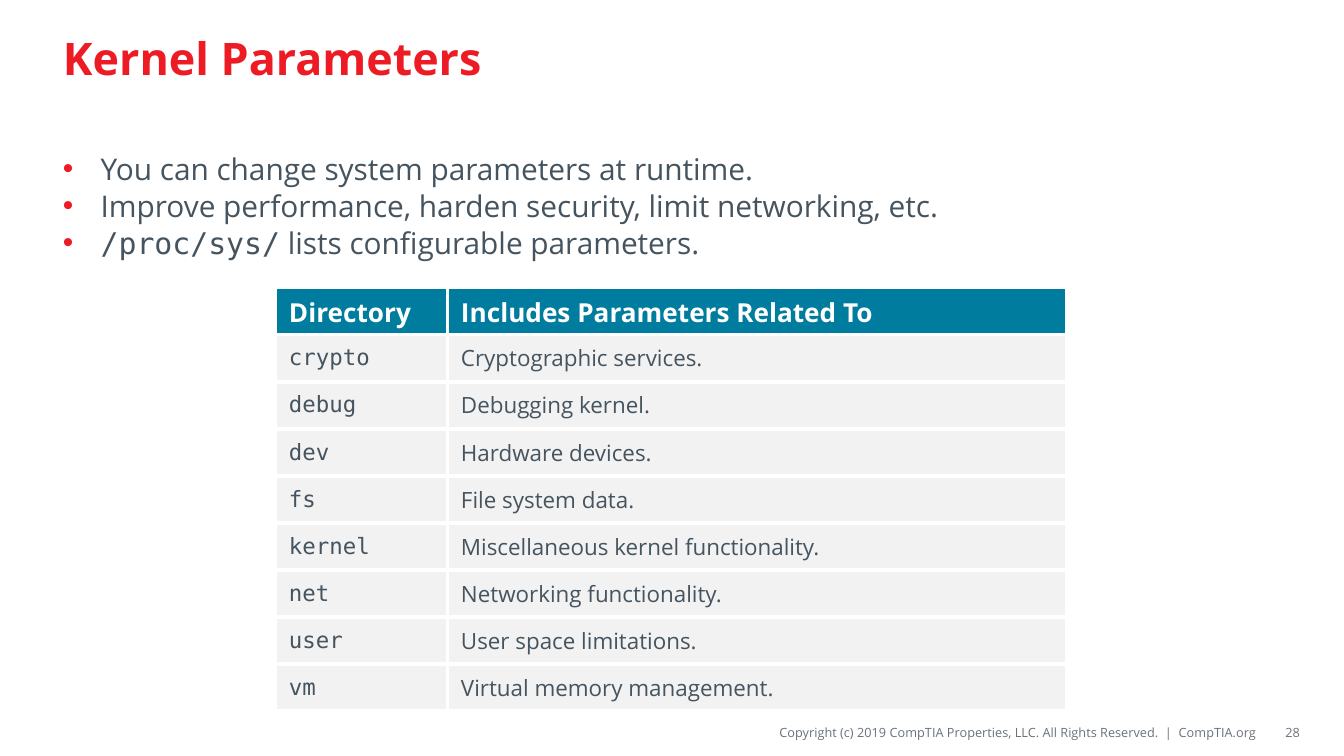
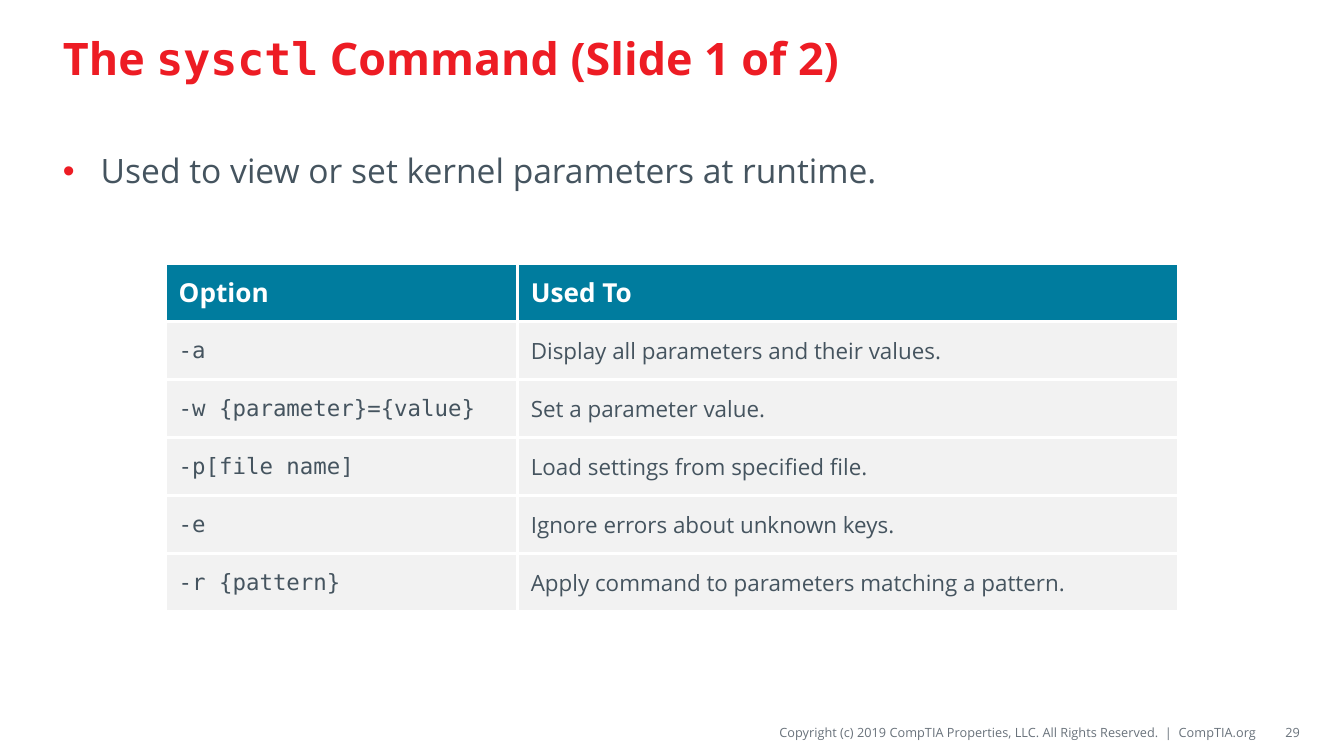
import dataclasses

import lxml.etree
import pptx
import pptx.dml.color
import pptx.enum.text
import pptx.oxml.ns
import pptx.util

Pt = pptx.util.Pt
ANCHOR = pptx.enum.text.MSO_ANCHOR
ALIGN = pptx.enum.text.PP_ALIGN


@dataclasses.dataclass(frozen=True)
class Theme:
    red: str = "ED1C24"
    ink: str = "45545F"
    grey: str = "69727B"
    teal: str = "007C9E"
    pale: str = "F2F2F2"
    white: str = "FFFFFF"
    sans: str = "Open Sans"
    mono: str = "DejaVu Sans Mono"
    title_size: float = 24
    header_size: float = 14
    cell_size: float = 12
    footer_size: float = 6.8
    bullet_indent: float = 20.25
    bullet_gap: float = 0.7
    border: float = 2.25


THEME = Theme()
COPYRIGHT = "Copyright (c) 2019 CompTIA Properties, LLC. All Rights Reserved.  |  CompTIA.org"
TITLE_BOX = (26.64, 5.76, 666, 49.68)
BODY_BOX = (26.64, 77.04, 666, 280.8)
FOOTER_BOX = (279.36, 384.48, 417, 15.84)
NUMBER_WIDTH = 21


def rgb(color):
    return pptx.dml.color.RGBColor.from_string(color)


def add_element(parent, tag, **attributes):
    element = lxml.etree.SubElement(parent, pptx.oxml.ns.qn(tag))
    for name, value in attributes.items():
        element.set(name, str(value))
    return element


def write_para(para, content, size, color, bold=False, font=THEME.sans):
    """Content is a string, or a list of (text, font name) pairs."""
    para.font.size = Pt(size)
    para.font.bold = bold
    para.font.color.rgb = rgb(color)
    if isinstance(content, str):
        para.font.name = font
        para.add_run().text = content
        return
    for text, name in content:
        span = para.add_run()
        span.text = text
        span.font.name = name


def add_text_frame(page, box, anchor, margins=(7.2, 3.6, 7.2, 3.6)):
    frame = page.shapes.add_textbox(*map(Pt, box)).text_frame
    frame.word_wrap = True
    frame.vertical_anchor = anchor
    frame.margin_left, frame.margin_top, frame.margin_right, frame.margin_bottom = map(Pt, margins)
    return frame


def add_title(page, box, content):
    frame = add_text_frame(page, box, ANCHOR.MIDDLE)
    write_para(frame.paragraphs[0], content, THEME.title_size, THEME.red, bold=True)


def add_footer(page, box, number):
    left, top, width, height = box
    copyright_width = width - NUMBER_WIDTH - 2.16
    parts = (
        (COPYRIGHT, left, copyright_width, (0, 2.88, 0, 2.88)),
        (str(number), left + width - NUMBER_WIDTH, NUMBER_WIDTH, (7.2, 3.6, 0, 3.6)),
    )
    for text, part_left, part_width, margins in parts:
        part_box = (part_left, top, part_width, height)
        para = add_text_frame(page, part_box, ANCHOR.MIDDLE, margins).paragraphs[0]
        para.alignment = ALIGN.RIGHT
        write_para(para, text, THEME.footer_size, THEME.grey)


def add_bullets(page, box, items, size):
    frame = add_text_frame(page, box, ANCHOR.TOP)
    for index, content in enumerate(items):
        para = frame.add_paragraph() if index else frame.paragraphs[0]
        if index:
            para.space_before = Pt(THEME.bullet_gap)
        properties = para._p.get_or_add_pPr()
        properties.set("marL", str(Pt(THEME.bullet_indent)))
        properties.set("indent", str(-Pt(THEME.bullet_indent)))
        add_element(add_element(properties, "a:buClr"), "a:srgbClr", val=THEME.red)
        add_element(properties, "a:buFont", typeface="Arial")
        add_element(properties, "a:buChar", char="•")
        write_para(para, content, size, THEME.ink)


def style_cell(cell, fill):
    cell.vertical_anchor = ANCHOR.MIDDLE
    properties = cell._tc.get_or_add_tcPr()
    for side in ("a:lnL", "a:lnR", "a:lnT", "a:lnB"):
        line = add_element(properties, side, w=Pt(THEME.border))
        add_element(add_element(line, "a:solidFill"), "a:srgbClr", val=THEME.white)
    cell.fill.solid()
    cell.fill.fore_color.rgb = rgb(fill)


def add_option_table(page, left, top, widths, row_height, rows):
    box = (left, top, sum(widths), row_height * len(rows))
    table = page.shapes.add_table(len(rows), len(widths), *map(Pt, box)).table
    table.first_row = table.horz_banding = False
    for column, width in zip(table.columns, widths):
        column.width = Pt(width)
    for row_index, texts in enumerate(rows):
        table.rows[row_index].height = Pt(row_height)
        for column_index, text in enumerate(texts):
            cell = table.cell(row_index, column_index)
            para = cell.text_frame.paragraphs[0]
            if row_index == 0:
                style_cell(cell, THEME.teal)
                write_para(para, text, THEME.header_size, THEME.white, bold=True)
            else:
                style_cell(cell, THEME.pale)
                font = THEME.sans if column_index else THEME.mono
                write_para(para, text, THEME.cell_size, THEME.ink, font=font)


def add_table_page(deck, number, title, bullets, bullet_size, table):
    page = deck.slides.add_slide(deck.slide_layouts[6])
    add_title(page, TITLE_BOX, title)
    add_bullets(page, BODY_BOX, bullets, bullet_size)
    add_option_table(page, **table)
    add_footer(page, FOOTER_BOX, number)


def main():
    deck = pptx.Presentation()
    deck.slide_width, deck.slide_height = Pt(720), Pt(405)
    add_table_page(
        deck, 28, "Kernel Parameters",
        [
            "You can change system parameters at runtime.",
            "Improve performance, harden security, limit networking, etc.",
            [("/proc/sys/", THEME.mono), (" lists configurable parameters.", THEME.sans)],
        ],
        16,
        dict(left=147.6, top=154.08, widths=(92.16, 331.92), row_height=25.2, rows=[
            ("Directory", "Includes Parameters Related To"),
            ("crypto", "Cryptographic services."),
            ("debug", "Debugging kernel."),
            ("dev", "Hardware devices."),
            ("fs", "File system data."),
            ("kernel", "Miscellaneous kernel functionality."),
            ("net", "Networking functionality."),
            ("user", "User space limitations."),
            ("vm", "Virtual memory management."),
        ]),
    )
    add_table_page(
        deck, 29,
        [("The ", THEME.sans), ("sysctl", THEME.mono), (" Command (Slide 1 of 2)", THEME.sans)],
        ["Used to view or set kernel parameters at runtime."],
        18,
        dict(left=88.56, top=141.12, widths=(188.64, 354.24), row_height=31.08, rows=[
            ("Option", "Used To"),
            ("-a", "Display all parameters and their values."),
            ("-w {parameter}={value}", "Set a parameter value."),
            ("-p[file name]", "Load settings from specified file."),
            ("-e", "Ignore errors about unknown keys."),
            ("-r {pattern}", "Apply command to parameters matching a pattern."),
        ]),
    )
    deck.save("out.pptx")


if __name__ == "__main__":
    main()
